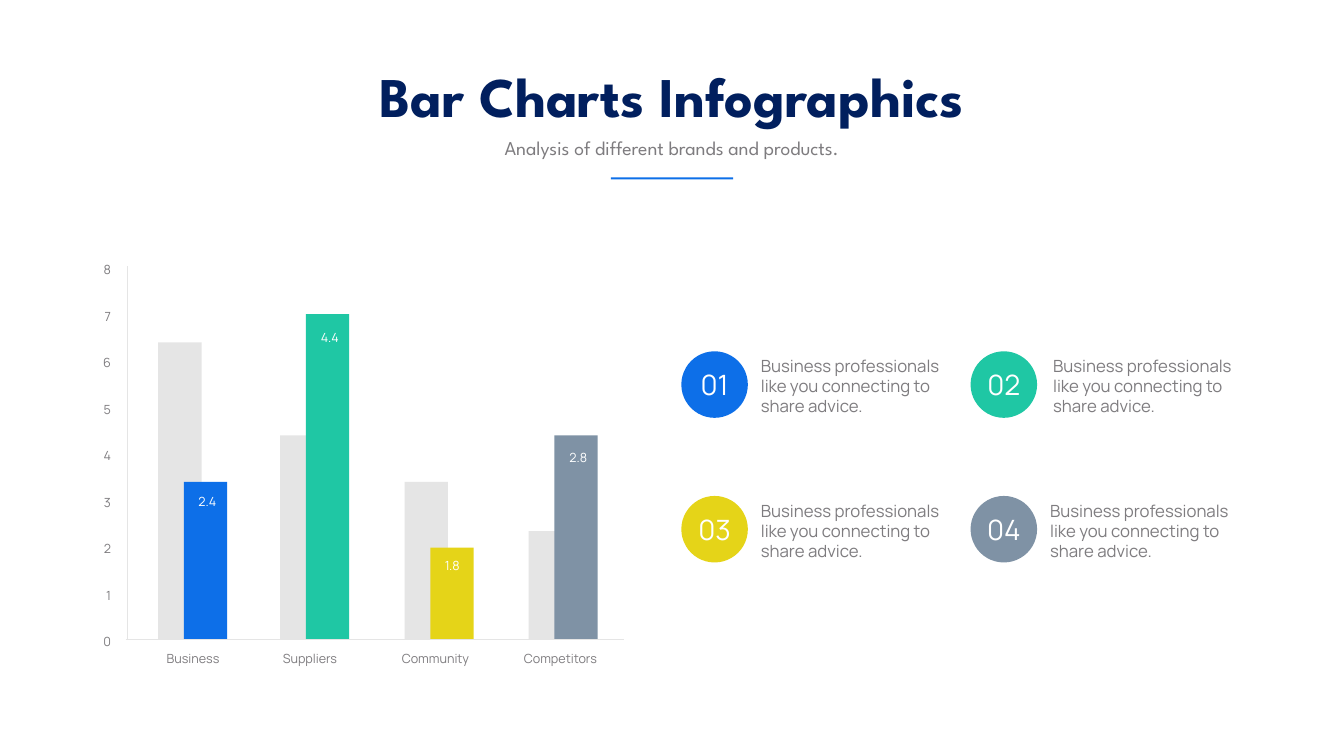
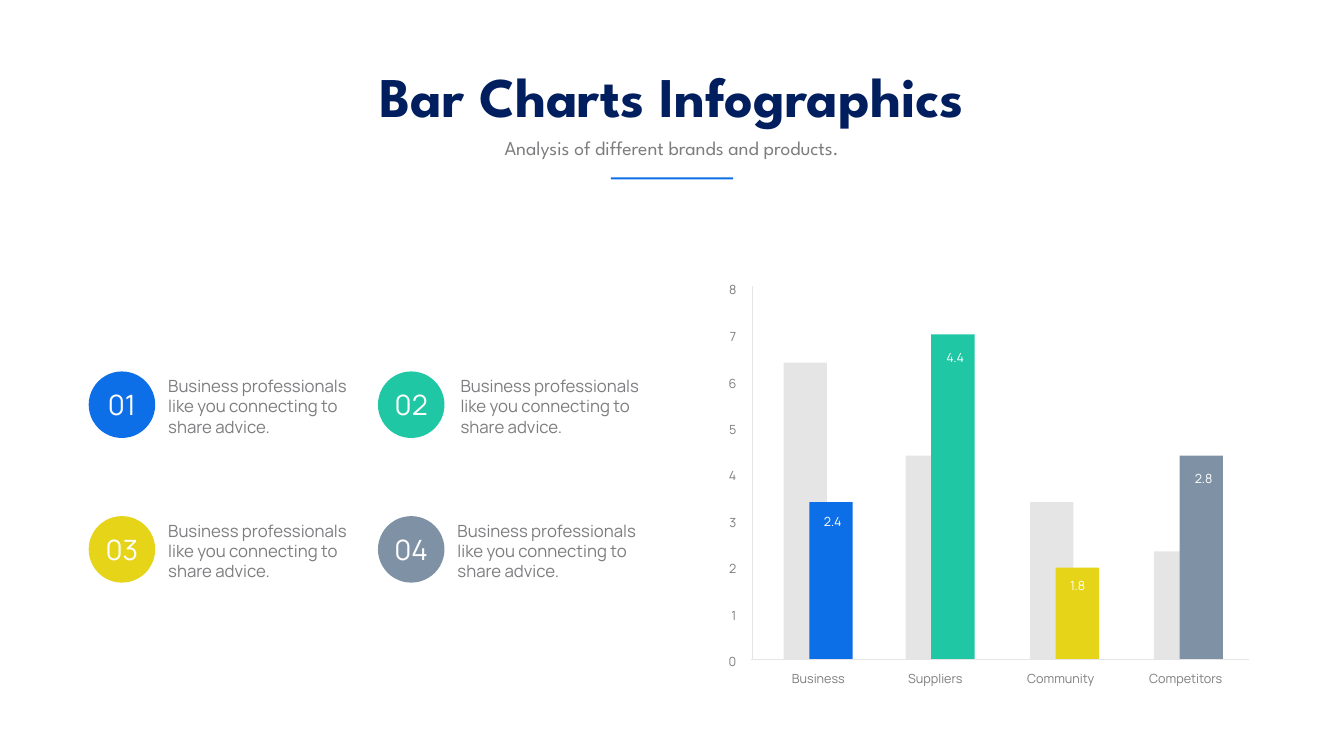
from dataclasses import dataclass

from lxml import etree
from pptx import Presentation
from pptx import util as u
from pptx.dml.color import RGBColor
from pptx.enum import shapes, text
from pptx.oxml.ns import qn

# Slide grid: square cells of one inch
COLS, ROWS = 26.67, 15
CELL = u.Inches(1)

# Shared style
NAVY, GREY, PALE, WHITE = "011F5E", "7E7C7F", "E5E5E5", "FFFFFF"
BLUE, GREEN, GOLD, SLATE = "0D6FE8", "1FC7A4", "E5D418", "7F92A5"
HEAD, BODY = "League Spartan", "Manrope"
LEFT, MID, RIGHT = text.PP_ALIGN.LEFT, text.PP_ALIGN.CENTER, text.PP_ALIGN.RIGHT
RECT, OVAL = shapes.MSO_SHAPE.RECTANGLE, shapes.MSO_SHAPE.OVAL

# Chart measures, in cells
STEP = 0.9225  # one unit of the value axis
TOP = 8  # highest value on the axis
BAR, SHIFT = 0.86, 0.51  # bar width, offset of the front bar
AXIS = 9.88
LINE = u.Pt(35.6)

# Legend measures, in cells
DISC = 1.32
ACROSS, DOWN = 5.74, 2.87
ADVICE = "Business professionals like you connecting to share advice."


@dataclass
class Pair:
    """Two overlapping bars; x values count from the chart's left edge."""
    name: str
    x: float
    back: float
    front: float
    color: str
    mid: float  # centre of the name
    wide: float  # width of the name
    value: str
    spot: float  # centre of the value
    drop: float  # value box below the bar's top


@dataclass
class Note:
    num: str
    col: int
    row: int
    color: str
    gap: float = 1.48


PAIRS = [
    Pair("Business", 0.64, 6.39, 3.39, BLUE, 1.33, 1.31, "2.4", 1.61, 0),
    Pair("Suppliers", 3.06, 4.39, 7, GREEN, 3.65, 1.59, "4.4", 4.04, 0.06),
    Pair("Community", 5.53, 3.39, 1.98, GOLD, 6.14, 1.87, "1.8", 6.47, -0.04),
    Pair("Competitors", 7.99, 2.33, 4.39, SLATE, 8.62, 1.97, "2.8", 8.97, 0.05),
]
NOTES = [
    Note("01", 0, 0, BLUE),
    Note("03", 0, 1, GOLD),
    Note("02", 1, 0, GREEN, 1.54),
    Note("04", 1, 1, SLATE),
]


def span(n: float) -> int:
    return round(n * CELL)


def paint(target, code: str) -> None:
    """Give a fill or a font a hex colour."""
    if hasattr(target, "solid"):
        target.solid()
        target.fore_color.rgb = RGBColor.from_string(code)
    else:
        target.color.rgb = RGBColor.from_string(code)


def write(frame, words: str, size: float, code: str, face: str = BODY,
          align=MID, bold: bool = False, line=None) -> None:
    frame.text = words
    para = frame.paragraphs[0]
    para.alignment = align
    if line:
        para.line_spacing = line
    font = para.runs[0].font
    font.size, font.name, font.bold = u.Pt(size), face, bold
    paint(font, code)


def label(area, x: float, y: float, w: float, h: float, words: str,
          size: float = 18, code: str = GREY, **style) -> None:
    box = area.add_textbox(span(x), span(y), span(w), span(h))
    frame = box.text_frame
    frame.word_wrap = True
    frame.auto_size = text.MSO_AUTO_SIZE.SHAPE_TO_FIT_TEXT
    write(frame, words, size, code, **style)


def block(area, kind, x: float, y: float, w: float, h: float, code: str):
    shape = area.add_shape(kind, span(x), span(y), span(w), span(h))
    shape.shadow.inherit = False
    paint(shape.fill, code)
    shape.line.fill.background()
    return shape


def rule(area, x: float, y: float, to_x: float, to_y: float) -> None:
    line = area.add_connector(shapes.MSO_CONNECTOR.STRAIGHT,
                              span(x), span(y), span(to_x), span(to_y))
    paint(line.line.fill, PALE)
    line.line.width = u.Pt(1)
    etree.SubElement(line._element.spPr, qn("a:effectLst"))


def header(slide) -> None:
    title = slide.shapes.title
    title.left, title.top = span(6.92), span(1.17)
    title.width, title.height = span(12.82), span(1.45)
    frame = title.text_frame
    frame.word_wrap = False
    frame.auto_size = text.MSO_AUTO_SIZE.SHAPE_TO_FIT_TEXT
    frame.vertical_anchor = text.MSO_ANCHOR.TOP
    write(frame, "Bar Charts Infographics", 80, NAVY, HEAD, bold=True)
    label(slide.shapes, 8.55, 2.65, 9.56, 0.57,
          "Analysis of different brands and products.", 28, face=HEAD)
    block(slide.shapes, RECT, (COLS - 2.43) / 2, 3.52, 2.43, 0.04, BLUE)


def chart(slide, x: float, base: float) -> None:
    area = slide.shapes.add_group_shape().shapes
    # Bars: the pale row lies behind the coloured one
    for p in PAIRS:
        tall = p.back * STEP
        block(area, RECT, x + p.x, base - tall, BAR, tall, PALE)
    for p in PAIRS:
        tall = p.front * STEP
        block(area, RECT, x + p.x + SHIFT, base - tall, BAR, tall, p.color)
        label(area, x + p.mid - p.wide / 2, base - 0.02, p.wide, 0.53,
              p.name, line=LINE)
        label(area, x + p.spot - 0.87, base - tall + p.drop, 1.75, 0.56,
              p.value, code=WHITE, line=LINE)
    # Axes and scale
    rule(area, x, base - 0.01, x + AXIS, base - 0.01)
    rule(area, x + 0.02, base - 0.02, x + 0.02, base - 0.03 - TOP * STEP)
    for n in range(TOP + 1):
        label(area, x - 1.23, base - 0.35 - n * STEP, 1.03, 0.53, str(n),
              align=RIGHT, line=LINE)


def legend(slide, x: float, y: float) -> None:
    area = slide.shapes.add_group_shape().shapes
    for n in NOTES:
        left, top = x + n.col * ACROSS, y + n.row * DOWN
        disc = block(area, OVAL, left, top, DISC, DISC, n.color)
        disc.text_frame.word_wrap = False
        disc.text_frame.vertical_anchor = text.MSO_ANCHOR.MIDDLE
        write(disc.text_frame, n.num, 40, WHITE)
        label(area, left + n.gap, top + 0.04, 4.1, 1.31, ADVICE, 24,
              align=LEFT)


def main() -> None:
    deck = Presentation()
    deck.slide_width, deck.slide_height = span(COLS), span(ROWS)
    # Chart corner and legend corner of each slide
    for axes, notes in [((2.5, 12.69), (13.52, 6.97)),
                        ((14.91, 13.09), (1.76, 7.37))]:
        slide = deck.slides.add_slide(deck.slide_layouts[5])
        paint(slide.background.fill, WHITE)
        header(slide)
        chart(slide, *axes)
        legend(slide, *notes)
    deck.save("out.pptx")


if __name__ == "__main__":
    main()
